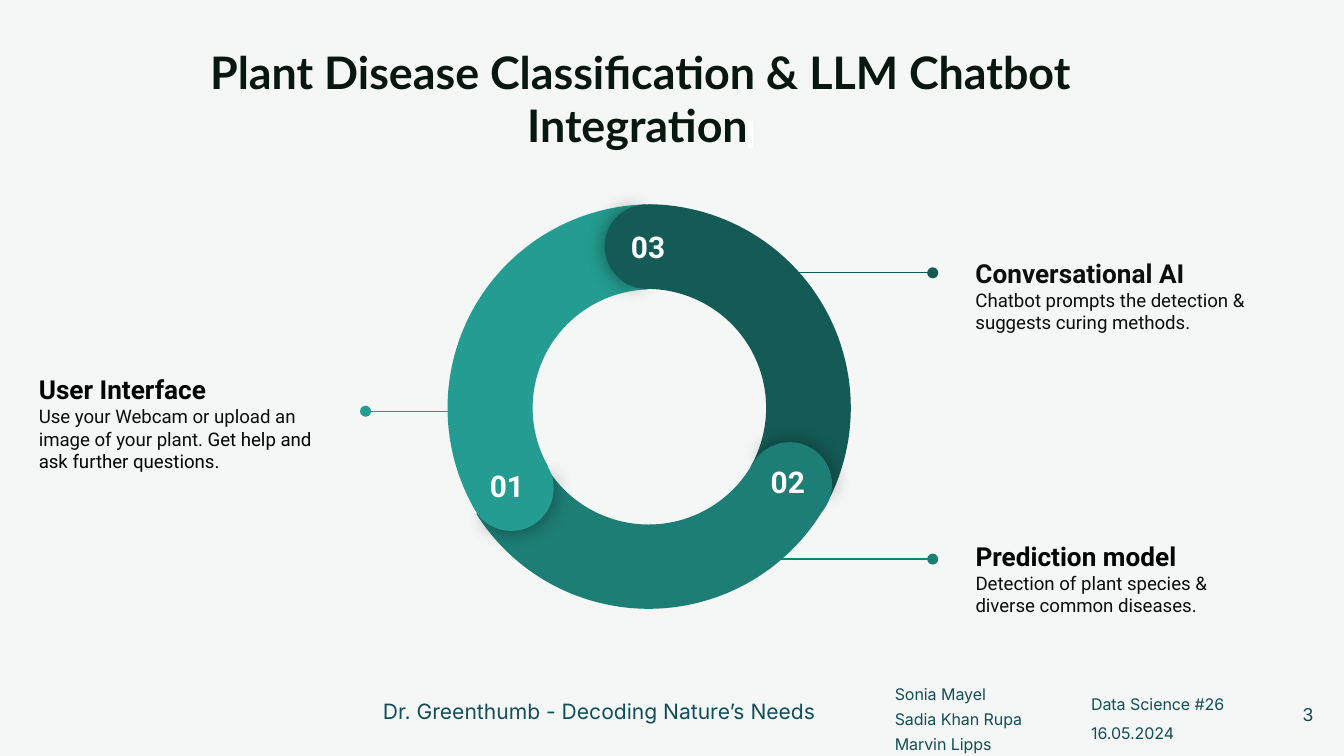
from dataclasses import dataclass

from lxml import etree
from pptx import Presentation
from pptx.dml.color import RGBColor
from pptx.enum.shapes import MSO_CONNECTOR, MSO_SHAPE
from pptx.enum.text import MSO_ANCHOR, PP_ALIGN
from pptx.oxml import parse_xml
from pptx.oxml.ns import nsdecls, qn
from pptx.util import Inches, Pt

COLORS = {
    "background": "F4F7F6",
    "title": "08170F",
    "black": "000000",
    "body": "0D0D0D",
    "footer": "134D57",
    "white": "FFFFFF",
    "interface": "249C91",
    "prediction": "1D7E75",
    "chatbot": "155B55",
}
RING_SIZE = 3.03
CAP_SIZE = 0.63
CAP_BACK = (61.904, 149.962)
CAP_FRONT = (40.283, 171.837)


@dataclass
class Segment:
    number: str
    color: str
    rotation: float
    arc_at: tuple[float, float]
    arc_shape: tuple[float, float, float]
    cap_at: tuple[float, float]
    label_at: tuple[float, float]


@dataclass
class Callout:
    heading: str
    body: list[tuple[str, str]]
    heading_color: str
    box: tuple[float, float, float, float]
    line_color: str
    line_start: float
    line_end: float
    line_y: float
    bottom_inset: float


SEGMENTS = [
    Segment("03", "chatbot", 60, (3.3, 1.52), (126.225, 197.816, 0.208),
            (4.5, 1.52), (4.57, 1.6)),
    Segment("02", "prediction", 180, (3.31, 1.5), (126.225, 196.628, 0.207),
            (5.56, 3.29), (5.61, 3.35)),
    Segment("01", "interface", 300, (3.33, 1.52), (126.225, 197.033, 0.209),
            (3.49, 3.32), (3.52, 3.38)),
]
CALLOUTS = [
    Callout("User Interface",
            [("Use your Webcam or upload an image of your plant. ", "body"),
             ("Get help and ask further questions.", "black")],
            "black", (0.19, 2.4, 2.32, 1.52), "interface", 3.42, 2.72, 3.06, 0.24),
    Callout("Conversational AI",
            [("Chatbot prompts the detection & suggests curing methods.", "body")],
            "body", (7.16, 1.43, 2.6, 1.41), "chatbot", 5.53, 6.94, 2.03, 0.09),
    Callout("Prediction model",
            [("Detection of plant species & diverse common diseases.", "body")],
            "black", (7.16, 3.64, 2.32, 1.41), "prediction", 5.53, 6.94, 4.16, 0.3),
]


def rgb(name: str) -> RGBColor:
    return RGBColor.from_string(COLORS[name])


def set_frame(frame, anchor=MSO_ANCHOR.TOP, bottom_inset=0.1) -> None:
    frame.word_wrap = True
    frame.vertical_anchor = anchor
    frame.margin_left = frame.margin_right = frame.margin_top = Inches(0.1)
    frame.margin_bottom = Inches(bottom_inset)


def add_text_box(slide, box, **frame_format):
    frame = slide.shapes.add_textbox(*map(Inches, box)).text_frame
    set_frame(frame, **frame_format)
    return frame


def write(paragraph, text: str, *, size: float, font: str, color: str,
          bold=False, align=None, spacing=None, highlight=None) -> None:
    """Append a run to the paragraph and format both."""
    run = paragraph.add_run()
    run.text = text
    run.font.size = Pt(size)
    run.font.bold = bold
    run.font.color.rgb = rgb(color)
    if highlight is not None:
        marker = etree.SubElement(run.font._element, qn("a:highlight"))
        etree.SubElement(marker, qn("a:srgbClr"), val=COLORS[highlight])
    run.font.name = font
    if align is not None:
        paragraph.alignment = align
    if spacing is not None:
        paragraph.line_spacing = spacing


def add_lines(slide, box, lines: list[str], spacings: list, **text_format):
    frame = add_text_box(slide, box)
    for index, (line, spacing) in enumerate(zip(lines, spacings)):
        paragraph = frame.add_paragraph() if index else frame.paragraphs[0]
        write(paragraph, line, spacing=spacing, **text_format)
    return frame


def add_leader(slide, callout: Callout) -> None:
    """Draw the callout's line, ending in a dot beside its text."""
    y = Inches(callout.line_y)
    leader = slide.shapes.add_connector(
        MSO_CONNECTOR.STRAIGHT, Inches(callout.line_start), y,
        Inches(callout.line_end), y)
    leader.line.color.rgb = rgb(callout.line_color)
    leader.line.width = Pt(0.75)
    etree.SubElement(leader.line._get_or_add_ln(), qn("a:tailEnd"), type="oval")
    etree.SubElement(leader._element.spPr, qn("a:effectLst"))


def add_callout(slide, callout: Callout) -> None:
    frame = add_text_box(slide, callout.box, anchor=MSO_ANCHOR.MIDDLE,
                         bottom_inset=callout.bottom_inset)
    write(frame.paragraphs[0], callout.heading, size=14, font="Roboto",
          color=callout.heading_color, bold=True, spacing=1.5)
    body = frame.add_paragraph()
    for text, color in callout.body:
        write(body, text, size=10, font="Roboto", color=color)
    add_leader(slide, callout)


def add_ring_part(slide, preset, at, size: float, rotation: float, color: str,
                  adjustments, shadow=False) -> None:
    part = slide.shapes.add_shape(preset, *map(Inches, (*at, size, size)))
    for index, value in enumerate(adjustments):
        part.adjustments[index] = value
    part.rotation = rotation % 360
    part.fill.solid()
    part.fill.fore_color.rgb = rgb(color)
    part.line.fill.background()
    part.shadow.inherit = False
    if shadow:
        effects = part._element.spPr.find(qn("a:effectLst"))
        effects.append(parse_xml(
            f'<a:outerShdw {nsdecls("a")} blurRad="{Pt(11.2)}" algn="ctr" '
            f'rotWithShape="0"><a:srgbClr val="{COLORS["black"]}">'
            '<a:alpha val="43000"/></a:srgbClr></a:outerShdw>'))


def add_cap(slide, segment: Segment) -> None:
    """Round off the leading end of a segment, with a shadow on its outer half."""
    add_ring_part(slide, MSO_SHAPE.PIE, segment.cap_at, CAP_SIZE,
                  segment.rotation - 59.3, segment.color, CAP_BACK, shadow=True)
    add_ring_part(slide, MSO_SHAPE.PIE, segment.cap_at, CAP_SIZE,
                  segment.rotation + 120, segment.color, CAP_FRONT)


def add_ring(slide) -> None:
    for segment in SEGMENTS:
        add_ring_part(slide, MSO_SHAPE.BLOCK_ARC, segment.arc_at, RING_SIZE,
                      segment.rotation, segment.color, segment.arc_shape)
    for segment in SEGMENTS:
        add_cap(slide, segment)
    for segment in SEGMENTS:
        add_lines(slide, (*segment.label_at, 0.56, 0.29), [f"{segment.number} "],
                  [None], size=16, font="Roboto", color="white", bold=True,
                  align=PP_ALIGN.CENTER)


def add_title(slide) -> None:
    title = add_lines(
        slide, (1, 0.23, 7.53, 1.01),
        ["Plant Disease Classification & LLM Chatbot Integration"], [None],
        size=24, font="Lato", color="title", bold=True, align=PP_ALIGN.CENTER)
    write(title.paragraphs[0], " ", size=12, font="Lato", color="body",
          highlight="white")


def add_footer(slide) -> None:
    add_lines(slide, (2.75, 5.1, 3.45, 0.43),
              ["Dr. Greenthumb - Decoding Nature’s Needs"], [None],
              size=11.3, font="Inter", color="footer")
    add_lines(slide, (6.56, 4.95, 1.9, 0.73),
              ["Sonia Mayel", "Sadia Khan Rupa", "Marvin Lipps"], [1.3] * 3,
              size=8.55, font="Inter", color="footer")
    add_lines(slide, (8.02, 5.07, 1.98, 0.49),
              ["Data Science #26", "16.05.2024"], [None, 1.5],
              size=8.55, font="Inter", color="footer")
    page = add_text_box(slide, (9.27, 5.1, 0.6, 0.43), anchor=MSO_ANCHOR.MIDDLE)
    write(page.paragraphs[0], "3", size=10, font="Arial", color="footer",
          align=PP_ALIGN.RIGHT)


def main() -> None:
    deck = Presentation()
    deck.slide_width = Inches(10)
    deck.slide_height = deck.slide_width * 9 // 16
    slide = deck.slides.add_slide(deck.slide_layouts[6])
    slide.background.fill.solid()
    slide.background.fill.fore_color.rgb = rgb("background")

    add_footer(slide)
    add_title(slide)
    for callout in CALLOUTS:
        add_callout(slide, callout)
    add_ring(slide)
    deck.save("out.pptx")


if __name__ == "__main__":
    main()
